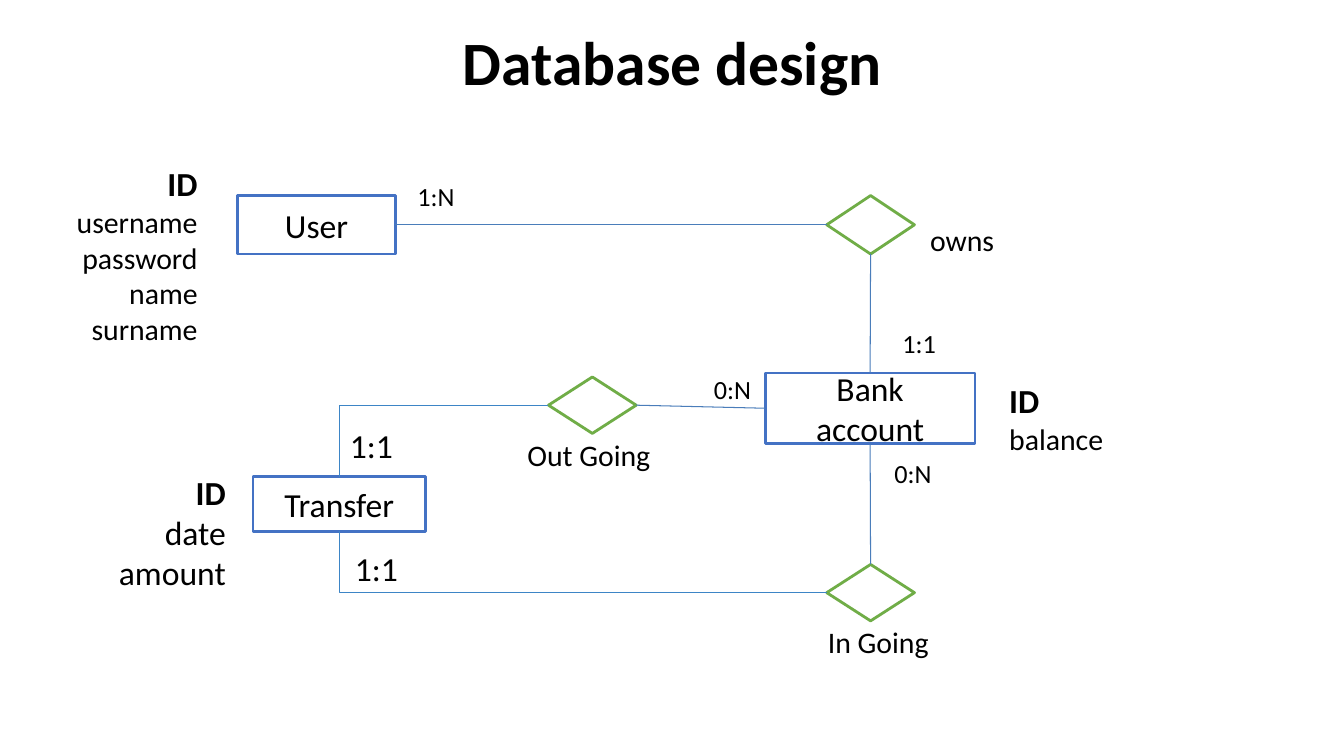
from dataclasses import dataclass

from lxml import etree
from pptx import Presentation
from pptx.dml.color import RGBColor
from pptx.enum.shapes import MSO_CONNECTOR, MSO_SHAPE
from pptx.enum.text import MSO_ANCHOR, PP_ALIGN
from pptx.oxml.ns import qn
from pptx.util import Emu, Pt

RECTANGLE, DIAMOND = MSO_SHAPE.RECTANGLE, MSO_SHAPE.DIAMOND
STRAIGHT, ELBOW = MSO_CONNECTOR.STRAIGHT, MSO_CONNECTOR.ELBOW
LEFT, CENTER, RIGHT = PP_ALIGN.LEFT, PP_ALIGN.CENTER, PP_ALIGN.RIGHT
MIDDLE, TOP_ANCHOR = MSO_ANCHOR.MIDDLE, MSO_ANCHOR.TOP
SITE_TOP, SITE_LEFT, SITE_BOTTOM, SITE_RIGHT = range(4)
EMU_PER_PX = 9144


@dataclass(frozen=True)
class Theme:
    font: str = "Calibri"
    text: RGBColor = RGBColor(0, 0, 0)
    fill: RGBColor = RGBColor(255, 255, 255)
    entity: RGBColor = RGBColor.from_string("4472C4")
    relation: RGBColor = RGBColor.from_string("70AD47")
    straight: RGBColor = RGBColor.from_string("4A7DBA")
    elbow: RGBColor = RGBColor.from_string("3D85C6")
    title_size: float = 44
    large_size: float = 24
    medium_size: float = 21.3
    small_size: float = 18.7
    outline: float = 2
    link: float = 0.75


THEME = Theme()


def px(value):
    return Emu(value * EMU_PER_PX)


def box(values):
    return [px(value) for value in values]


def prepare_frame(frame, anchor, side=13, edge=7):
    frame.word_wrap = True
    frame.vertical_anchor = anchor
    frame.margin_left = frame.margin_right = px(side)
    frame.margin_top = frame.margin_bottom = px(edge)


def add_run(paragraph, text, size, bold=False):
    run = paragraph.add_run()
    run.text = text
    run.font.name = THEME.font
    run.font.size = Pt(size)
    run.font.bold = bold
    run.font.color.rgb = THEME.text


def add_title(slide, text, bounds):
    frame = slide.shapes.add_textbox(*box(bounds)).text_frame
    prepare_frame(frame, MIDDLE, 10, 5)
    paragraph = frame.paragraphs[0]
    paragraph.alignment = CENTER
    paragraph.line_spacing = 0.9
    add_run(paragraph, text, THEME.title_size, True)


def add_label(slide, text, bounds, size, alignment=LEFT):
    frame = slide.shapes.add_textbox(*box(bounds)).text_frame
    prepare_frame(frame, TOP_ANCHOR)
    frame.paragraphs[0].alignment = alignment
    add_run(frame.paragraphs[0], text, size)


def add_attributes(slide, key, names, bounds, size, alignment=LEFT):
    frame = slide.shapes.add_textbox(*box(bounds)).text_frame
    prepare_frame(frame, TOP_ANCHOR)
    add_run(frame.paragraphs[0], key, THEME.large_size, True)
    for name in names:
        add_run(frame.add_paragraph(), name, size)
    for paragraph in frame.paragraphs:
        paragraph.alignment = alignment


def add_outlined(slide, kind, bounds, color):
    shape = slide.shapes.add_shape(kind, *box(bounds))
    shape.shadow.inherit = False
    shape.fill.solid()
    shape.fill.fore_color.rgb = THEME.fill
    shape.line.color.rgb = color
    shape.line.width = Pt(THEME.outline)
    return shape


def add_entity(slide, name, bounds):
    shape = add_outlined(slide, RECTANGLE, bounds, THEME.entity)
    prepare_frame(shape.text_frame, MIDDLE, 14)
    paragraph = shape.text_frame.paragraphs[0]
    paragraph.alignment = CENTER
    add_run(paragraph, name, THEME.large_size)
    return shape


def add_relation(slide, bounds):
    return add_outlined(slide, DIAMOND, bounds, THEME.relation)


def add_link(slide, start, start_site, end, end_site, kind=STRAIGHT):
    connector = slide.shapes.add_connector(kind, 0, 0, 0, 0)
    connector.begin_connect(start, start_site)
    connector.end_connect(end, end_site)
    connector.line.color.rgb = THEME.elbow if kind == ELBOW else THEME.straight
    connector.line.width = Pt(THEME.link)
    properties = connector.element.spPr
    if kind == ELBOW:
        properties.find(qn("a:prstGeom")).set("prst", "bentConnector2")
    etree.SubElement(properties, qn("a:effectLst"))


def main():
    presentation = Presentation()
    presentation.slide_width, presentation.slide_height = px(1333), px(750)
    slide = presentation.slides.add_slide(presentation.slide_layouts[6])
    add_title(slide, "Database design", (92, -7, 1150, 145))

    user = add_entity(slide, "User", (236, 194, 156, 58))
    transfer = add_entity(slide, "Transfer", (251, 473, 171, 54))
    account = add_entity(slide, "Bank account", (759, 370, 208, 70))
    owns = add_relation(slide, (820, 194, 87, 58))
    outgoing = add_relation(slide, (544, 374, 87, 56))
    ingoing = add_relation(slide, (820, 560, 87, 56))

    add_link(slide, user, SITE_RIGHT, owns, SITE_LEFT)
    add_link(slide, owns, SITE_BOTTOM, account, SITE_TOP)
    add_link(slide, ingoing, SITE_TOP, account, SITE_BOTTOM)
    add_link(slide, outgoing, SITE_RIGHT, account, SITE_LEFT)
    add_link(slide, outgoing, SITE_LEFT, transfer, SITE_TOP, ELBOW)
    add_link(slide, ingoing, SITE_LEFT, transfer, SITE_BOTTOM, ELBOW)

    add_attributes(slide, "ID", ("username", "password", "name", "surname"),
                   (13, 155, 196, 190), THEME.medium_size, RIGHT)
    add_attributes(slide, "ID", ("date", "amount"),
                   (11, 461, 226, 167), THEME.large_size, RIGHT)
    add_attributes(slide, "ID", ("balance",),
                   (988, 370, 217, 249), THEME.medium_size)

    for text, bounds in (
        ("owns", (858, 213, 141, 37)),
        ("Out Going", (455, 426, 203, 37)),
        ("In Going", (731, 612, 203, 37)),
    ):
        add_label(slide, text, bounds, THEME.medium_size, RIGHT)

    for text, bounds, size in (
        ("1:N", (401, 172, 83, 34), THEME.small_size),
        ("1:1", (882, 318, 61, 34), THEME.small_size),
        ("0:N", (874, 447, 69, 34), THEME.small_size),
        ("0:N", (695, 363, 65, 34), THEME.small_size),
        ("1:1", (334, 415, 75, 40), THEME.large_size),
        ("1:1", (339, 537, 75, 40), THEME.large_size),
    ):
        add_label(slide, text, bounds, size)

    presentation.save("out.pptx")


if __name__ == "__main__":
    main()
